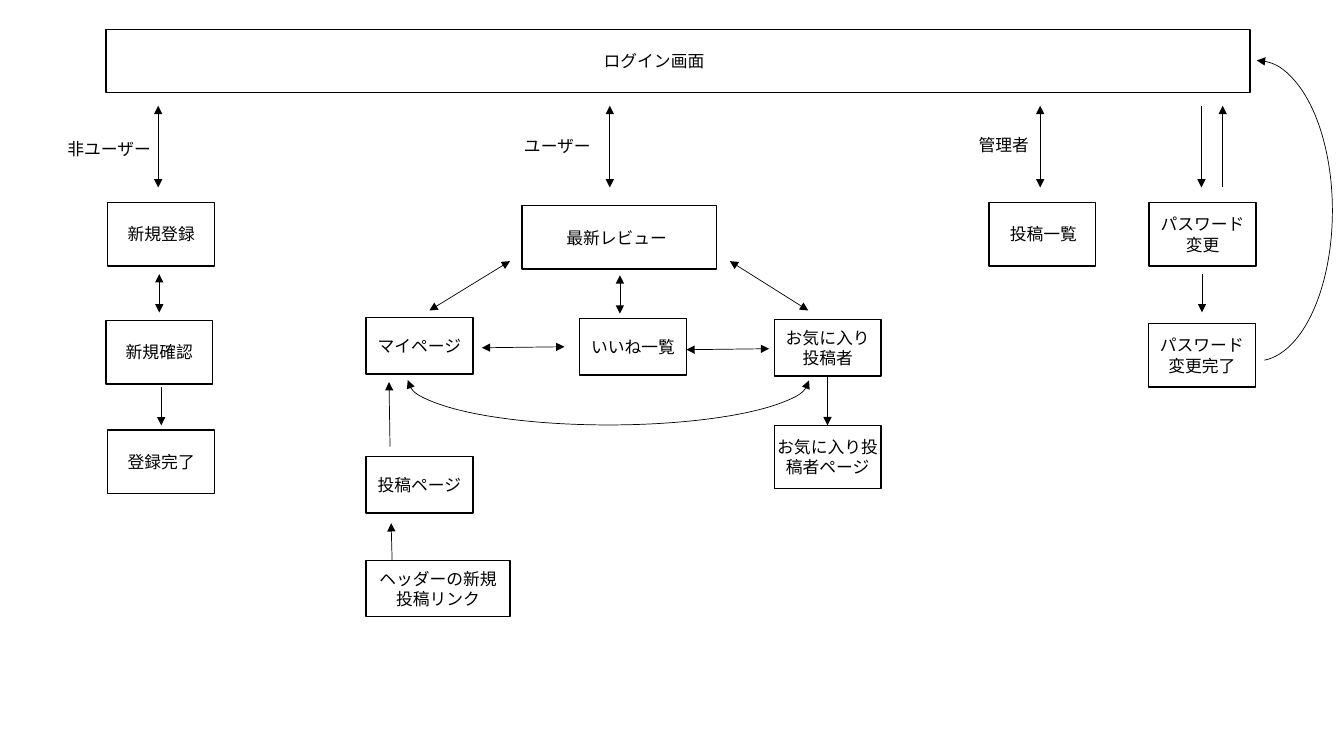
from dataclasses import dataclass

from lxml.etree import SubElement
from pptx import Presentation
from pptx.dml.color import RGBColor
from pptx.enum.shapes import MSO_CONNECTOR, MSO_SHAPE
from pptx.enum.text import MSO_ANCHOR, PP_ALIGN
from pptx.oxml.ns import qn
from pptx.util import Pt


@dataclass(frozen=True)
class Theme:
    font: str = "Noto Sans CJK JP"
    size: float = 12
    ink: RGBColor = RGBColor(0, 0, 0)
    paper: RGBColor = RGBColor(255, 255, 255)
    box_line: float = 1
    arrow_line: float = 0.5


THEME = Theme()
LEFT, CENTER = PP_ALIGN.LEFT, PP_ALIGN.CENTER
BOX_WIDTH, BOX_HEIGHT, LOW_HEIGHT = 76.4, 45.4, 40.3
ENTRY_TOP, ENTRY_BOTTOM = 75.6, 133.9
STEP = 27.4

SCREENS = [
    ("ログイン画面", 75.6, 20.9, 817.2, 90, 1, LEFT, -15.1),
    ("新規登録", 77, 144.7, BOX_WIDTH, 75, 1, CENTER, 0),
    ("新規確認", 75.6, 229, BOX_WIDTH, 75, 1, CENTER, 0),
    ("登録完了", 77, 307.2, BOX_WIDTH, 75, 1, CENTER, 0),
    ("最新レビュー", 373, 146.9, 139, 92.2, 1, LEFT, 1),
    ("投稿一覧", 706.3, 144.7, BOX_WIDTH, 64, 1, LEFT, 1.8),
    ("パスワード変更", 820.8, 144.7, BOX_WIDTH, BOX_WIDTH, 2, CENTER, 0),
    ("パスワード変更完了", 820.3, 231.1, BOX_WIDTH, BOX_WIDTH, 2, CENTER, 0),
    ("お気に入り投稿者ページ", 553, 303.8, BOX_WIDTH, 96.5, 2, CENTER, 0),
]
USER_PAGES = [
    ("マイページ", 261.4, 226.8, BOX_WIDTH),
    ("いいね一覧", 414, 227.5, BOX_WIDTH),
    ("お気に入り投稿者", 553, 228.2, BOX_WIDTH),
    ("投稿ページ", 261.4, 326.2, BOX_WIDTH),
    ("ヘッダーの新規投稿リンク", 261.4, 400.3, 103),
]
ROLES = [
    ("非ユーザー", 41, 95.8, 76.4, 113),
    ("ユーザー", 367.2, 93.6, 66.2, 435.6),
    ("管理者", 691.9, 92.9, 53, 743),
]
TWO_WAY = [
    (113.8, 195.8, 113.8, 195.8 + STEP),
    (442.8, 196.6, 442.8, 196.6 + STEP),
    (364.3, 186.5, 306.7, 221.8),
    (521.3, 186.5, 577.4, 221.8),
    (344.2, 248.4, 403.2, 247.7),
    (490.3, 249.8, 549.4, 249.1),
]
ONE_WAY = [
    (115.2, 276.5, 115.2, 276.5 + STEP),
    (858.6, 195.8, 858.6, 195.8 + STEP),
    (858.2, ENTRY_TOP, 858.2, ENTRY_BOTTOM),
    (873.4, ENTRY_BOTTOM, 873.4, ENTRY_TOP),
    (591.1, 268.6, 591.1, 303.8),
    (278.6, 319, 277.9, 272.9),
    (280.1, 400.3, 279.4, 373.7),
]


def write(shape, text, align):
    frame = shape.text_frame
    frame.word_wrap = True
    frame.text = text
    paragraph = frame.paragraphs[0]
    paragraph.alignment = align
    font = paragraph.runs[0].font
    font.name, font.size = THEME.font, Pt(THEME.size)
    font.color.rgb = THEME.ink
    properties = paragraph.runs[0]._r.get_or_add_rPr()
    SubElement(properties, qn("a:ea"), typeface=THEME.font)


def add_box(slide, left, top, width, height):
    box = slide.shapes.add_shape(
        MSO_SHAPE.RECTANGLE, Pt(left), Pt(top), Pt(width), Pt(height))
    box.shadow.inherit = False
    box.fill.solid()
    box.fill.fore_color.rgb = THEME.paper
    box.line.color.rgb = THEME.ink
    box.line.width = Pt(THEME.box_line)
    return box


def add_caption(slide, text, left, top, width, height=21.6, align=LEFT):
    caption = slide.shapes.add_textbox(Pt(left), Pt(top), Pt(width), Pt(height))
    write(caption, text, align)


def add_screen(slide, text, left, top, width, caption_width, lines, align, shift):
    add_box(slide, left, top, width, BOX_HEIGHT)
    height = 7.2 + 14.4 * lines
    add_caption(slide, text, left + (width - caption_width) / 2 + shift,
                top + (BOX_HEIGHT - height) / 2, caption_width, height, align)


def add_user_page(slide, text, left, top, width):
    box = add_box(slide, left, top, width, LOW_HEIGHT)
    box.text_frame.vertical_anchor = MSO_ANCHOR.MIDDLE
    write(box, text, CENTER)


def style_arrow(shape, ends):
    shape.line.color.rgb = THEME.ink
    shape.line.width = Pt(THEME.arrow_line)
    for end in ends:
        SubElement(shape.line._get_or_add_ln(), qn(f"a:{end}"), type="triangle")


def add_arrow(slide, points, ends):
    arrow = slide.shapes.add_connector(
        MSO_CONNECTOR.STRAIGHT, *[Pt(value) for value in points])
    style_arrow(arrow, ends)
    SubElement(arrow._element.spPr, qn("a:effectLst"))


def add_arc(slide, left, top, width, height, end_angle, ends):
    arc = slide.shapes.add_shape(
        MSO_SHAPE.ARC, Pt(left), Pt(top), Pt(width), Pt(height))
    arc.adjustments[0] = 162
    arc.adjustments[1] = end_angle
    arc.shadow.inherit = False
    arc.fill.background()
    style_arrow(arc, ends)
    return arc


def main():
    presentation = Presentation()
    presentation.slide_width, presentation.slide_height = Pt(960), Pt(540)
    slide = presentation.slides.add_slide(presentation.slide_layouts[6])
    both = ("headEnd", "tailEnd")

    for screen in SCREENS:
        add_screen(slide, *screen)
    for page in USER_PAGES:
        add_user_page(slide, *page)
    for role, left, top, width, arrow_x in ROLES:
        add_caption(slide, role, left, top, width)
        add_arrow(slide, (arrow_x, ENTRY_TOP, arrow_x, ENTRY_BOTTOM), both)
    for points in TWO_WAY:
        add_arrow(slide, points, both)
    for points in ONE_WAY:
        add_arrow(slide, points, ("tailEnd",))

    add_arc(slide, 843.8, 43.2, 108, 214.6, 52.25, ("headEnd",))
    favorites_arc = add_arc(slide, 402.5, 128.2, 64.1, 286.6, 53.94, both)
    favorites_arc.rotation = 270
    favorites_arc._element.spPr.xfrm.set("flipH", "1")

    presentation.save("out.pptx")


main()
